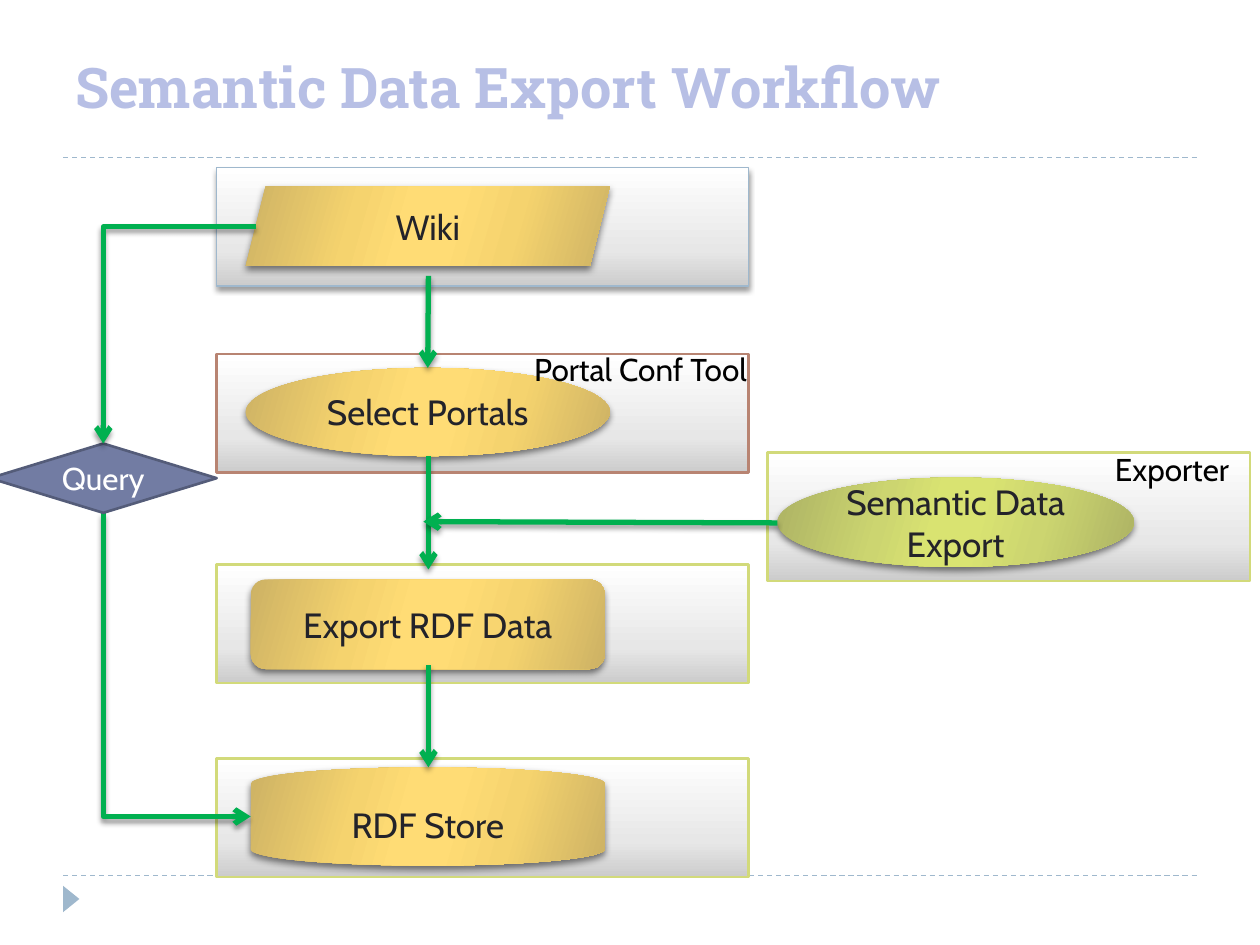
from lxml import etree
from pptx import Presentation
from pptx.dml.color import RGBColor
from pptx.enum.dml import MSO_LINE
from pptx.enum.shapes import MSO_CONNECTOR, MSO_SHAPE
from pptx.enum.text import MSO_ANCHOR, PP_ALIGN
from pptx.oxml.ns import qn
from pptx.util import Inches, Pt

CENTER, LEFT = PP_ALIGN.CENTER, PP_ALIGN.LEFT
MIDDLE, TOP, BOTTOM = MSO_ANCHOR.MIDDLE, MSO_ANCHOR.TOP, MSO_ANCHOR.BOTTOM
STRAIGHT, ELBOW = MSO_CONNECTOR.STRAIGHT, MSO_CONNECTOR.ELBOW
DASH = MSO_LINE.DASH
RECTANGLE, ELLIPSE = MSO_SHAPE.RECTANGLE, MSO_SHAPE.OVAL
PARALLELOGRAM, ROUNDED = MSO_SHAPE.PARALLELOGRAM, MSO_SHAPE.ROUNDED_RECTANGLE
DISK, DIAMOND = MSO_SHAPE.FLOWCHART_MAGNETIC_DISK, MSO_SHAPE.FLOWCHART_DECISION
TRIANGLE = MSO_SHAPE.ISOSCELES_TRIANGLE

BODY_FONT, TITLE_FONT = "Cabin", "Roboto Slab"
BLUE, LIME, RUST, GREEN = "9FB8CD", "D2DA7A", "B88472", "00B050"
SILVER = [(0, "CCCCCC"), (30, "E7E7E7"), (100, "FFFFFF")]
STEP_STOPS = (0, 30, 45, 55, 73, 100)


def mirrored(edge, inner, middle):
    return list(zip(STEP_STOPS, (edge, inner, middle, middle, inner, edge)))


GOLD = mirrored("CDB264", "F5D36E", "FFDC75")
OLIVE = mirrored("ACB264", "CCD570", "D9E371")


def color(value):
    return RGBColor.from_string(value)


def inches(box):
    return [Inches(length) for length in box]


def paint_gradient(shape, stops, clockwise):
    shape.fill.gradient()
    shape.fill.gradient_angle = 360 - clockwise
    stop_list = shape._element.spPr.find(qn("a:gradFill")).find(qn("a:gsLst"))
    for stop in list(stop_list):
        stop_list.remove(stop)
    for position, value in stops:
        stop = etree.SubElement(stop_list, qn("a:gs"), pos=str(position * 1000))
        etree.SubElement(stop, qn("a:srgbClr"), val=value)


def add_shadow(properties, opacity, blur):
    effects = properties.find(qn("a:effectLst"))
    if effects is None:
        effects = etree.SubElement(properties, qn("a:effectLst"))
    shadow = etree.SubElement(effects, qn("a:outerShdw"), blurRad=str(Pt(blur)),
                              dist=str(Pt(2)), dir="5400000", rotWithShape="0")
    black = etree.SubElement(shadow, qn("a:srgbClr"), val="000000")
    etree.SubElement(black, qn("a:alpha"), val=str(opacity * 1000))


def write(frame, text, size, value, align, anchor, font=BODY_FONT, bold=False):
    frame.word_wrap = True
    frame.vertical_anchor = anchor
    paragraph = frame.paragraphs[0]
    paragraph.alignment = align
    run = paragraph.add_run()
    run.text = text
    run.font.name, run.font.size, run.font.bold = font, Pt(size), bold
    run.font.color.rgb = color(value)


def add_plain(slide, kind, box, fill):
    shape = slide.shapes.add_shape(kind, *inches(box))
    shape.shadow.inherit = False
    shape.fill.solid()
    shape.fill.fore_color.rgb = color(fill)
    shape.line.fill.background()
    return shape


def add_label(slide, box, text):
    label = slide.shapes.add_textbox(*inches(box))
    write(label.text_frame, text, 18, "000000", LEFT, TOP)


def add_panel(slide, box, border, weight=1.5):
    panel = add_plain(slide, RECTANGLE, box, "FFFFFF")
    paint_gradient(panel, SILVER, 270)
    panel.line.color.rgb = color(border)
    panel.line.width = Pt(weight)
    return panel


def add_step(slide, kind, box, text, stops=GOLD):
    step = add_plain(slide, kind, box, "FFFFFF")
    paint_gradient(step, stops, 16)
    add_shadow(step._element.spPr, 50, 4)
    write(step.text_frame, text, 20, "23232A", CENTER, MIDDLE)
    return step


def add_line(slide, kind, start, end, value, weight):
    line = slide.shapes.add_connector(kind, *inches(start + end))
    line.line.color.rgb = color(value)
    line.line.width = Pt(weight)
    etree.SubElement(line._element.spPr, qn("a:effectLst"))
    return line


def add_arrow(slide, start, end, kind=STRAIGHT):
    arrow = add_line(slide, kind, start, end, GREEN, 3)
    properties = arrow._element.spPr
    etree.SubElement(properties.find(qn("a:ln")), qn("a:tailEnd"), type="arrow")
    add_shadow(properties, 40, 3)
    return arrow


def add_corner_arrow(slide, start, end):
    arrow = add_arrow(slide, start, end, ELBOW)
    arrow._element.spPr.find(qn("a:prstGeom")).set("prst", "bentConnector2")
    return arrow


def add_down_then_right_arrow(slide, start, end):
    (x1, y1), (x2, y2) = start, end
    mid_x, mid_y = (x1 + x2) / 2, (y1 + y2) / 2
    half_run, half_drop = (x2 - x1) / 2, (y2 - y1) / 2
    arrow = add_corner_arrow(slide, (mid_x + half_drop, mid_y - half_run),
                             (mid_x - half_drop, mid_y + half_run))
    arrow._element.spPr.find(qn("a:xfrm")).set("rot", str(270 * 60000))


def add_frame(slide, left, top, width, height):
    for y in (top, top + height):
        rule = add_line(slide, STRAIGHT, (left, y), (left + width, y), BLUE, 0.75)
        rule.line.dash_style = DASH
    marker = add_plain(slide, TRIANGLE, (left - 0.04, top + height + 0.12, 0.21, 0.13), BLUE)
    marker.rotation = 90


def add_title(slide, box):
    title = slide.shapes.add_textbox(*inches(box))
    write(title.text_frame, "Semantic Data Export Workflow", 32, "B7BFE5",
          LEFT, BOTTOM, TITLE_FONT, True)


def add_pipeline(slide, left, width):
    height = 0.94
    source_panel = add_panel(slide, (left, 1.33, width, height), BLUE, 0.75)
    add_shadow(source_panel._element.spPr, 40, 3)
    for top, border in ((2.81, RUST), (4.48, LIME), (6.02, LIME)):
        add_panel(slide, (left, top, width, height), border)
    add_step(slide, PARALLELOGRAM, (left + 0.23, 1.48, 2.89, 0.63), "Wiki")
    portals = add_step(slide, ELLIPSE, (left + 0.23, 2.92, 2.89, 0.7), "Select Portals")
    add_step(slide, ROUNDED, (left + 0.27, 4.6, 2.81, 0.71), "Export RDF Data")
    add_step(slide, DISK, (left + 0.27, 6.09, 2.81, 0.78), "RDF Store")
    add_label(slide, (left + 2.42, 2.73, 2.03, 0.4), "Portal Conf Tool")

    center = left + 1.68
    to_portals = add_arrow(slide, (center, 2.19), (center, 2.92))
    to_portals.end_connect(portals, 0)
    for start, end in ((3.62, 4.52), (5.28, 6.09)):
        add_arrow(slide, (center, start), (center, end))


def add_exporter(slide, left, top, width, height):
    add_panel(slide, (left, top, width, height), LIME)
    add_step(slide, ELLIPSE, (left + 0.08, top + 0.2, 2.83, 0.71),
             "Semantic Data Export", OLIVE)
    add_label(slide, (left + 2.66, top - 0.07, 1.25, 0.4), "Exporter")
    add_arrow(slide, (left + 0.08, top + 0.56), (3.36, top + 0.55))


def add_query(slide, left, top, width, height):
    center = left + width / 2
    add_down_then_right_arrow(slide, (center, top + height), (1.99, 6.48))
    query = add_plain(slide, DIAMOND, (left, top, width, height), "727CA3")
    query.line.color.rgb = color("545C79")
    query.line.width = Pt(1.5)
    write(query.text_frame, "Query", 18, "FFFFFF", CENTER, MIDDLE)
    add_corner_arrow(slide, (2.03, 1.8), (center, top))


def main():
    deck = Presentation()
    deck.slide_width, deck.slide_height = Inches(10), Inches(7.5)
    slide = deck.slides.add_slide(deck.slide_layouts[6])
    add_frame(slide, 0.5, 1.25, 9, 5.7)
    add_title(slide, (0.5, -0.08, 9, 1.08))
    add_pipeline(slide, 1.72, 4.22)
    add_exporter(slide, 6.09, 3.59, 3.83, 1.02)
    add_query(slide, -0.08, 3.52, 1.8, 0.55)
    deck.save("out.pptx")


if __name__ == "__main__":
    main()
